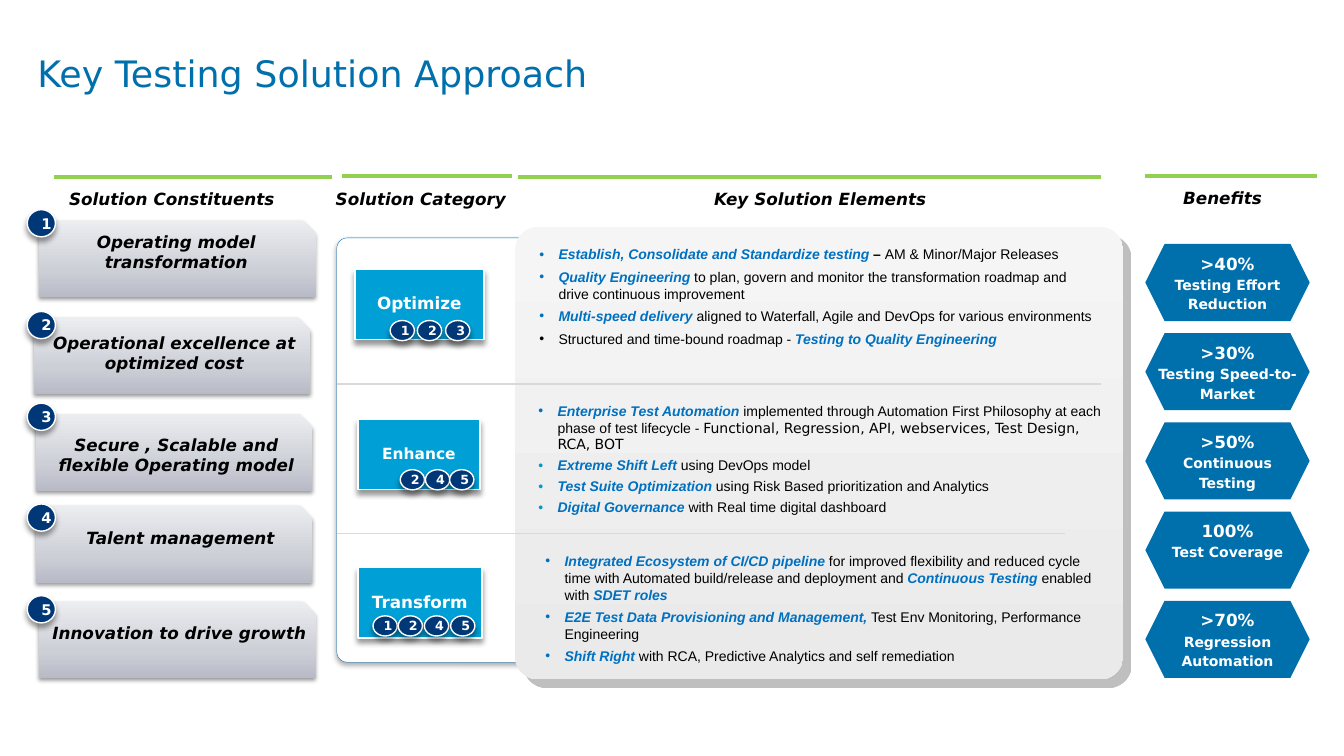
"""Build the Key Testing Solution Approach slide on a grid of 0.1 inch cells."""
from copy import deepcopy

from lxml.etree import SubElement
from pptx import Presentation
from pptx.dml.color import RGBColor
from pptx.enum.shapes import MSO_CONNECTOR as Link, MSO_SHAPE as Form
from pptx.enum.text import MSO_ANCHOR as Anchor, MSO_AUTO_SIZE as Fit, PP_ALIGN as Align
from pptx.oxml.ns import qn
from pptx.util import Inches, Pt

CELL = Inches(0.1)
SANS, ARIAL = "DejaVu Sans", "Arial"
BLUE, NAVY, WHITE, BLACK = "0070AD", "003776", "FFFFFF", "000000"
TILE_SHADOW = (BLACK, 40, 4, 3, 90)
color = RGBColor.from_string

styles = {
    "title": (BLUE, dict(name=SANS, size=Pt(26), bold=False)),
    "heading": (BLACK, dict(name=SANS, size=Pt(12), bold=True, italic=True)),
    "tile": (WHITE, dict(name=SANS, size=Pt(12), bold=True)),
    "small tile": (WHITE, dict(name=SANS, size=Pt(11), bold=True)),
    "number": (WHITE, dict(name=SANS, size=Pt(10.5), bold=True)),
    "small number": (WHITE, dict(name=SANS, size=Pt(9), bold=True)),
    "benefit": (WHITE, dict(name=SANS, size=Pt(10), bold=True)),
    "key": ("0070C0", dict(name=ARIAL, size=Pt(10), bold=True, italic=True)),
    "plain": (BLACK, dict(name=ARIAL, size=Pt(10), bold=False, italic=False)),
    "dash": (BLACK, dict(name=ARIAL, size=Pt(10), bold=True, italic=False)),
    "scope": (BLACK, dict(name=SANS, size=Pt(10), bold=False, italic=False)),
}


def write(frame, paragraphs, align=Align.CENTER, anchor=Anchor.TOP, **spacing):
    """Fill a text frame with paragraphs made of (style, text) runs."""
    frame.word_wrap, frame.auto_size, frame.vertical_anchor = True, Fit.NONE, anchor
    for index, runs in enumerate(paragraphs):
        paragraph = frame.paragraphs[0] if index == 0 else frame.add_paragraph()
        paragraph.alignment = align
        for name, value in spacing.items():
            setattr(paragraph, name, value)
        if index == 0:
            paragraph.space_before = Pt(0)
        for style, text in runs:
            run = paragraph.add_run()
            run.text = text
            tint, values = styles[style]
            run.font.color.rgb = color(tint)
            for name, value in values.items():
                setattr(run.font, name, value)


def add_block(form, box, fills, outline=None, shadow=None):
    """Add a shape with a solid or top-down gradient fill, an outline and a shadow."""
    block = slide.shapes.add_shape(form, *[int(v * CELL) for v in box])
    if len(fills) == 1:
        block.fill.solid()
        block.fill.fore_color.rgb = color(fills[0][1])
    else:
        block.fill.gradient()
        block.fill.gradient_angle = 270
        stops = block._element.spPr.find(".//" + qn("a:gsLst"))
        for _ in fills[2:]:
            stops.append(deepcopy(stops[0]))
        for stop, (position, tint) in zip(block.fill.gradient_stops, fills):
            stop.position, stop.color.rgb = position, color(tint)
    if outline:
        block.line.color.rgb, block.line.width = color(outline[0]), Pt(outline[1])
    else:
        block.line.fill.background()
    block.shadow.inherit = False
    if shadow:
        tint, opacity, blur, distance, angle = shadow
        effects = block._element.spPr.find(qn("a:effectLst"))
        outer = SubElement(effects, qn("a:outerShdw"), blurRad=str(Pt(blur)),
                           dist=str(Pt(distance)), dir=str(angle * 60000),
                           algn="t", rotWithShape="0")
        SubElement(SubElement(outer, qn("a:srgbClr"), val=tint),
                   qn("a:alpha"), val=str(opacity * 1000))
    return block


deck = Presentation()
deck.slide_width, deck.slide_height = Inches(13.33), Inches(7.5)
slide = deck.slides.add_slide(deck.slide_layouts[4])
title, *bodies, spare = slide.placeholders
spare._element.getparent().remove(spare._element)

title.left, title.top, title.width, title.height = [
    int(v * CELL) for v in (3.7, 5.6, 121.7, 5.6)]
for side in ("left", "top", "right", "bottom"):
    setattr(title.text_frame, f"margin_{side}", 0)
write(title.text_frame, [[("title", "Key Testing Solution Approach")]],
      align=Align.LEFT, line_spacing=0.9)

add_block(Form.ROUNDED_RECTANGLE, (33.4, 23.6, 72.2, 42.1), [(0, WHITE)],
          ("0070C0", 0.25), (BLACK, 32, 3.5, 2.2, 90)).adjustments[0] = 0.025
add_block(Form.ROUNDED_RECTANGLE, (51.1, 22.5, 60.3, 44.9),
          [(0, "F5F5F5"), (1, "EAEAEA")],
          shadow=("808080", 50, 0, 8.5, 45)).adjustments[0] = 0.051

rules = [(5.4, 32.9, 17.6, "92D050", 2.75), (33.9, 50.8, 17.5, "92D050", 2.75),
         (51.4, 109.2, 17.6, "92D050", 2.75), (113.6, 130.6, 17.5, "92D050", 2.75),
         (33.4, 109.2, 38.1, "D9D9D9", 1), (33.4, 105.6, 52.9, "D9D9D9", 1)]
for start, end, row, tint, weight in rules:
    rule = slide.shapes.add_connector(
        Link.STRAIGHT, *[int(v * CELL) for v in (start, row, end, row)])
    rule.line.color.rgb, rule.line.width = color(tint), Pt(weight)
    SubElement(rule._element.spPr, qn("a:effectLst"))

constituents = [
    ("Operating model transformation", 3.9, 21.9, 3.8, 22.5, 20.8),
    ("Operational excellence at optimized cost", 3.4, 31.5, 3.6, 32.5, 30.9),
    ("Secure , Scalable and flexible Operating model", 3.6, 41.1, 3.8, 42.6, 40),
    ("Talent management", 3.6, 50.2, 4.2, 51.9, 50),
    ("Innovation to drive growth", 3.9, 59.7, 2.7, 61.3, 59.1),
]
labels = [("Solution Constituents", 3.8, 18.2, 26.5, 3),
          ("Solution Category", 32, 18.2, 19.5, 3),
          ("Key Solution Elements", 68.1, 18.2, 26.5, 3),
          ("Benefits", 111.5, 18.1, 19.5, 3)]
badges = []
for number, (text, left, top, text_left, text_top, badge_top) in enumerate(constituents, 1):
    add_block(Form.SNIP_ROUND_RECTANGLE, (left, top, 27.4, 7.6),
              [(0, "ECEDF0"), (0.65, "CDCFD7"), (1, "B8BAC6")],
              shadow=(BLACK, 38, 3.1, 1.6, 90))
    labels.append((text, text_left, text_top, 30.2 if number == 5 else 27.4, 5))
    badges.append((number, "number", (2.7, badge_top, 2.8, 2.7)))
for text, *box in labels:
    label = slide.shapes.add_textbox(*[int(v * CELL) for v in box])
    write(label.text_frame, [[("heading", text)]])

categories = [
    ("Optimize", "tile", (35.2, 26.7, 12.8, 7), 31.8, {1: 38.7, 2: 41.4, 3: 44.2}),
    ("Enhance", "small tile", (35.5, 41.6, 12.1, 7), 46.6, {2: 39.7, 4: 42.2, 5: 44.6}),
    ("Transform", "tile", (35.5, 56.3, 12.3, 7), 61.1,
     {1: 37, 2: 39.5, 4: 42.1, 5: 44.7}),
]
for text, style, box, badge_top, links in categories:
    tile = add_block(Form.RECTANGLE, box, [(0, "00A0D6")], (WHITE, 1), TILE_SHADOW)
    write(tile.text_frame, [[(style, text)]], anchor=Anchor.MIDDLE, line_spacing=0.9)
    badges += [(number, "small number", (left, badge_top, 2.4, 2))
               for number, left in links.items()]
for number, style, box in badges:
    badge = add_block(Form.OVAL, box, [(0, NAVY)], (WHITE, 1), TILE_SHADOW)
    write(badge.text_frame, [[(style, str(number))]], anchor=Anchor.MIDDLE)

elements = [
    ((52.5, 23.9, 57.5, 11.1), 4, None, [
        [("key", "Establish, Consolidate and Standardize testing"), ("dash", " – "),
         ("plain", "AM & Minor/Major Releases")],
        [("key", "Quality Engineering "),
         ("plain", "to plan, govern and monitor the transformation roadmap and "
                   "drive continuous improvement")],
        [("key", "Multi-speed delivery "),
         ("plain", "aligned to Waterfall, Agile and DevOps for various environments")],
        [("plain", "Structured and time-bound roadmap - "),
         ("key", "Testing to Quality Engineering")]]),
    ((52.4, 39.4, 59, 12.4), 3, "009ACC", [
        [("key", "Enterprise Test Automation "),
         ("plain", "implemented through Automation First Philosophy at each phase "
                   "of test lifecycle - "),
         ("scope", "Functional, Regression, API, webservices, Test Design, RCA, BOT")],
        [("key", "Extreme Shift Left "), ("plain", "using DevOps model")],
        [("key", "Test Suite Optimization "),
         ("plain", "using Risk Based prioritization and Analytics")],
        [("key", "Digital Governance "), ("plain", "with Real time digital dashboard")]]),
    ((53.1, 54.3, 57.9, 12.2), 4, None, [
        [("key", "Integrated Ecosystem of CI/CD pipeline"),
         ("plain", " for improved flexibility and reduced cycle time with Automated "
                   "build/release and deployment and "),
         ("key", "Continuous Testing "), ("plain", "enabled with "), ("key", "SDET roles")],
        [("key", "E2E Test Data Provisioning and Management, "),
         ("plain", "Test Env Monitoring, Performance Engineering")],
        [("key", "Shift Right "),
         ("plain", "with RCA, Predictive Analytics and self remediation")]]),
]
for body, (box, gap, bullet_tint, points) in zip(bodies, elements):
    slide.shapes._spTree.append(body._element)
    body.left, body.top, body.width, body.height = [int(v * CELL) for v in box]
    write(body.text_frame, points, align=Align.LEFT, space_before=Pt(gap))
    for index, paragraph in enumerate(body.text_frame.paragraphs):
        properties = paragraph._p.get_or_add_pPr()
        properties.set("marL", str(Inches(0.19)))
        properties.set("indent", str(-Inches(0.19)))
        if bullet_tint and index:
            SubElement(SubElement(properties, qn("a:buClr")), qn("a:srgbClr"), val=bullet_tint)
        SubElement(properties, qn("a:buFont"), typeface=ARIAL)
        SubElement(properties, qn("a:buChar"), char="•")

benefits = [(">40%", "Testing Effort", "Reduction"), (">30%", "Testing Speed-to-", "Market"),
            (">50%", "Continuous", "Testing"), ("100%", "Test Coverage"),
            (">70%", "Regression", "Automation")]
for row, (share, *lines) in enumerate(benefits):
    hexagon = add_block(Form.HEXAGON, (113.6, 24.2 + 8.85 * row, 16.3, 7.65), [(0, BLUE)])
    for side in ("left", "top", "right", "bottom"):
        setattr(hexagon.text_frame, f"margin_{side}", 0)
    write(hexagon.text_frame, [[("tile", share)]] + [[("benefit", line)] for line in lines],
          space_after=Pt(2))
    hexagon.text_frame.word_wrap = False

deck.save("out.pptx")
